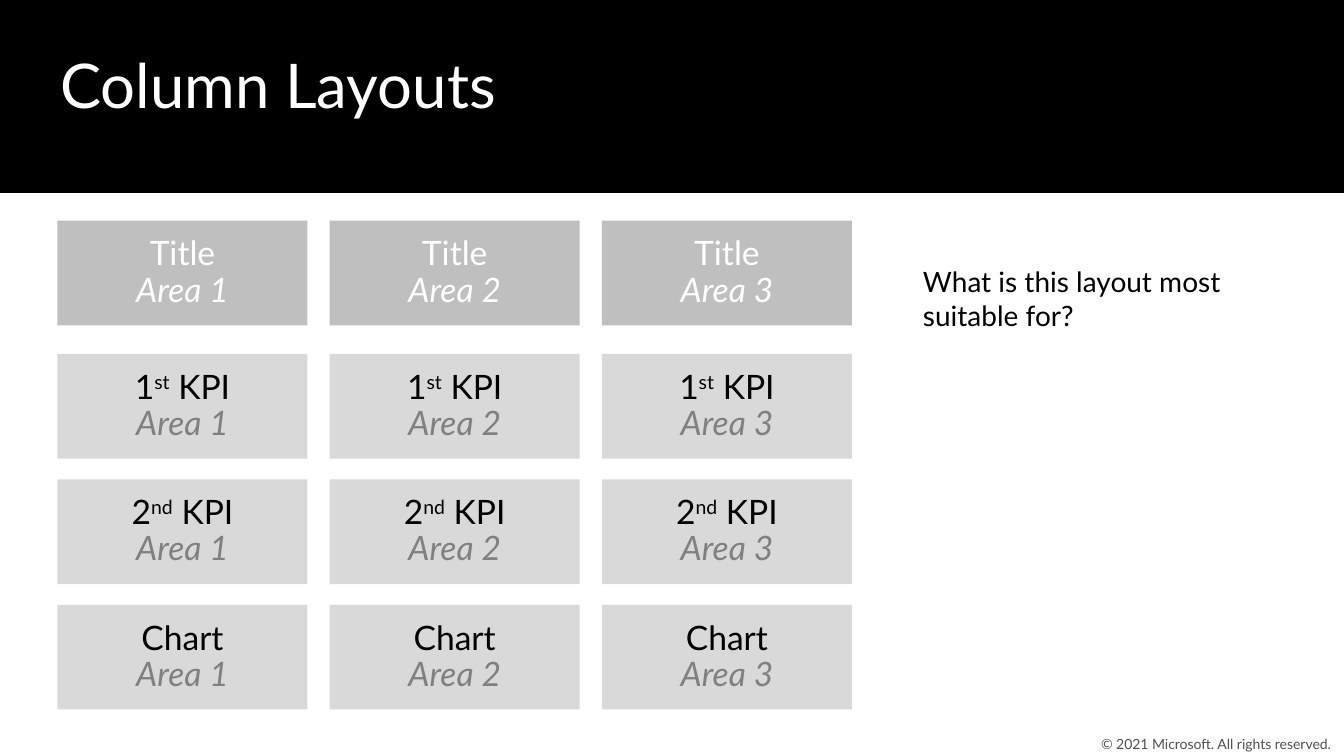
from dataclasses import dataclass

import pptx
import pptx.dml.color
import pptx.enum.shapes
import pptx.enum.text
import pptx.shapes.autoshape
import pptx.slide
import pptx.text.text
import pptx.util

Cm = pptx.util.Cm
RGBColor = pptx.dml.color.RGBColor
Align = pptx.enum.text.PP_ALIGN
Anchor = pptx.enum.text.MSO_ANCHOR

BLACK = RGBColor(0x00, 0x00, 0x00)
WHITE = RGBColor(0xFF, 0xFF, 0xFF)
HEADING_GREY = RGBColor(0xBF, 0xBF, 0xBF)
TILE_GREY = RGBColor(0xD9, 0xD9, 0xD9)
AREA_GREY = RGBColor(0x80, 0x80, 0x80)
COPYRIGHT_GREY = RGBColor(0x50, 0x50, 0x50)

FONT = "Lato"
SLIDE_WIDTH, SLIDE_HEIGHT = 33.87, 19.05
GRID_LEFT, COLUMN_PITCH = 1.45, 6.86
TILE_WIDTH, TILE_HEIGHT = 6.3, 2.64
HEADING_TOP, FIRST_KPI_TOP, ROW_PITCH = 5.56, 8.92, 3.16
AREAS = ("Area 1", "Area 2", "Area 3")


@dataclass(frozen=True)
class TileRow:
    top: float
    label: str
    ordinal: str = ""
    label_end: str = ""
    fill: RGBColor = TILE_GREY
    label_color: RGBColor = BLACK
    area_color: RGBColor = AREA_GREY


ROWS = (
    TileRow(HEADING_TOP, "Title", fill=HEADING_GREY, label_color=WHITE, area_color=WHITE),
    TileRow(FIRST_KPI_TOP, "1", "st", " KPI"),
    TileRow(FIRST_KPI_TOP + ROW_PITCH, "2", "nd", " KPI"),
    TileRow(FIRST_KPI_TOP + 2 * ROW_PITCH, "Chart"),
)


def add_text(paragraph: pptx.text.text._Paragraph, text: str, *, size: float,
             color: RGBColor, italic: bool = False, superscript: bool = False) -> None:
    run = paragraph.add_run()
    run.text = text
    run.font.name = FONT
    run.font.size = pptx.util.Pt(size)
    run.font.color.rgb = color
    if italic:
        run.font.italic = True
    if superscript:
        run._r.get_or_add_rPr().set("baseline", "30000")


def add_rectangle(slide: pptx.slide.Slide, left: float, top: float, width: float,
                  height: float, fill: RGBColor) -> pptx.shapes.autoshape.Shape:
    rectangle = slide.shapes.add_shape(
        pptx.enum.shapes.MSO_SHAPE.RECTANGLE, Cm(left), Cm(top), Cm(width), Cm(height))
    rectangle.shadow.inherit = False
    rectangle.fill.solid()
    rectangle.fill.fore_color.rgb = fill
    rectangle.line.fill.background()
    return rectangle


def add_text_box(slide: pptx.slide.Slide, left: float, top: float, width: float,
                 height: float, text: str, *, size: float, color: RGBColor,
                 align: Align = Align.LEFT, anchor: Anchor = Anchor.TOP) -> None:
    frame = slide.shapes.add_textbox(Cm(left), Cm(top), Cm(width), Cm(height)).text_frame
    frame.word_wrap = True
    frame.vertical_anchor = anchor
    frame.paragraphs[0].alignment = align
    add_text(frame.paragraphs[0], text, size=size, color=color)


def add_tile(slide: pptx.slide.Slide, left: float, row: TileRow, area: str) -> None:
    frame = add_rectangle(slide, left, row.top, TILE_WIDTH, TILE_HEIGHT, row.fill).text_frame
    frame.word_wrap = True
    frame.vertical_anchor = Anchor.TOP
    frame.margin_left = frame.margin_right = Cm(0.51)
    frame.margin_top = frame.margin_bottom = Cm(0.41)
    label_line, area_line = frame.paragraphs[0], frame.add_paragraph()
    for line in (label_line, area_line):
        line.alignment = Align.CENTER
        line.line_spacing = 0.9
    add_text(label_line, row.label, size=24, color=row.label_color)
    if row.ordinal:
        add_text(label_line, row.ordinal, size=24, color=row.label_color, superscript=True)
        add_text(label_line, row.label_end, size=24, color=row.label_color)
    add_text(area_line, area, size=24, color=row.area_color, italic=True)


def main() -> None:
    deck = pptx.Presentation()
    deck.slide_width, deck.slide_height = Cm(SLIDE_WIDTH), Cm(SLIDE_HEIGHT)
    slide = deck.slides.add_slide(deck.slide_layouts[6])

    add_rectangle(slide, 0, 0, SLIDE_WIDTH, 4.86, BLACK)
    add_text_box(slide, 1.27, 1.07, 31.22, 1.93, "Column Layouts", size=44, color=WHITE)
    for column, area in enumerate(AREAS):
        for row in ROWS:
            add_tile(slide, GRID_LEFT + column * COLUMN_PITCH, row, area)
    add_text_box(slide, 23.01, 6.55, 8.92, 1.96,
                 "What is this layout most suitable for?", size=20, color=BLACK)
    add_text_box(slide, 27.43, 18.44, 6.43, 0.61,
                 "© 2021 Microsoft. All rights reserved.", size=10, color=COPYRIGHT_GREY,
                 align=Align.CENTER, anchor=Anchor.MIDDLE)
    deck.save("out.pptx")


if __name__ == "__main__":
    main()
